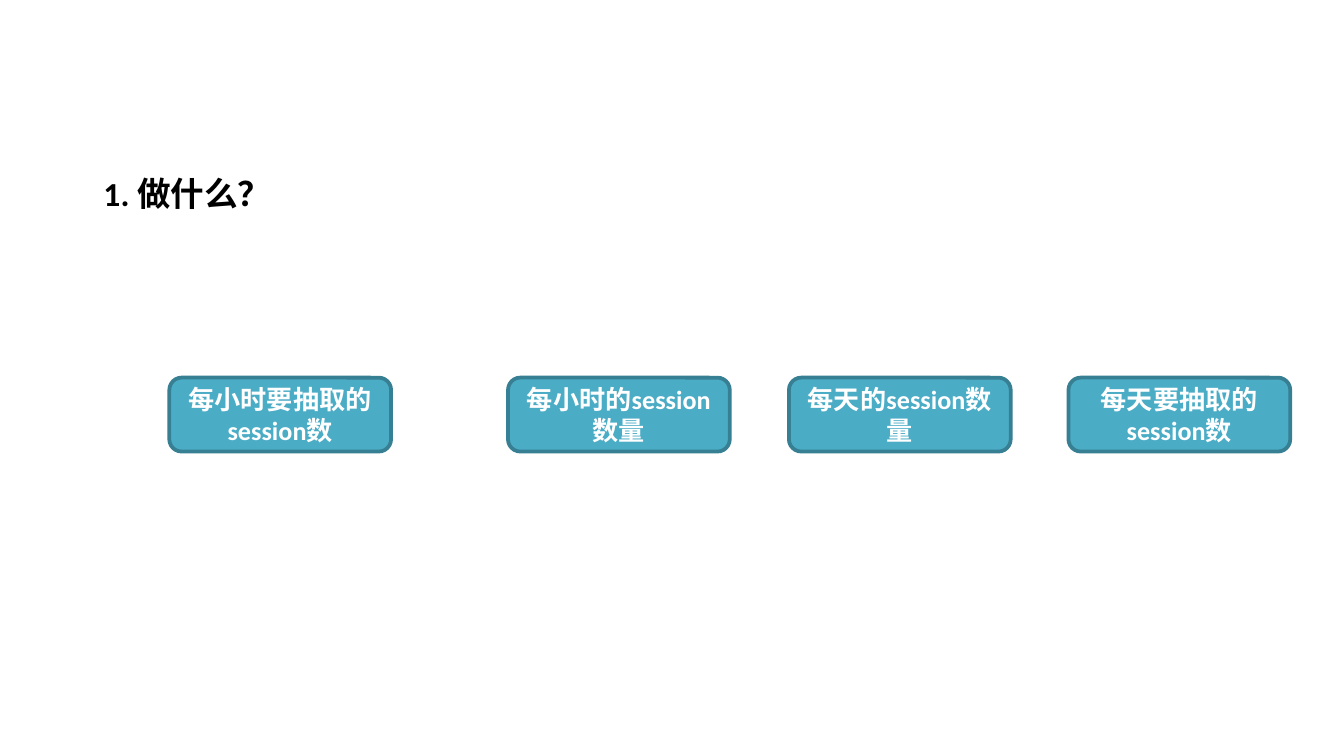
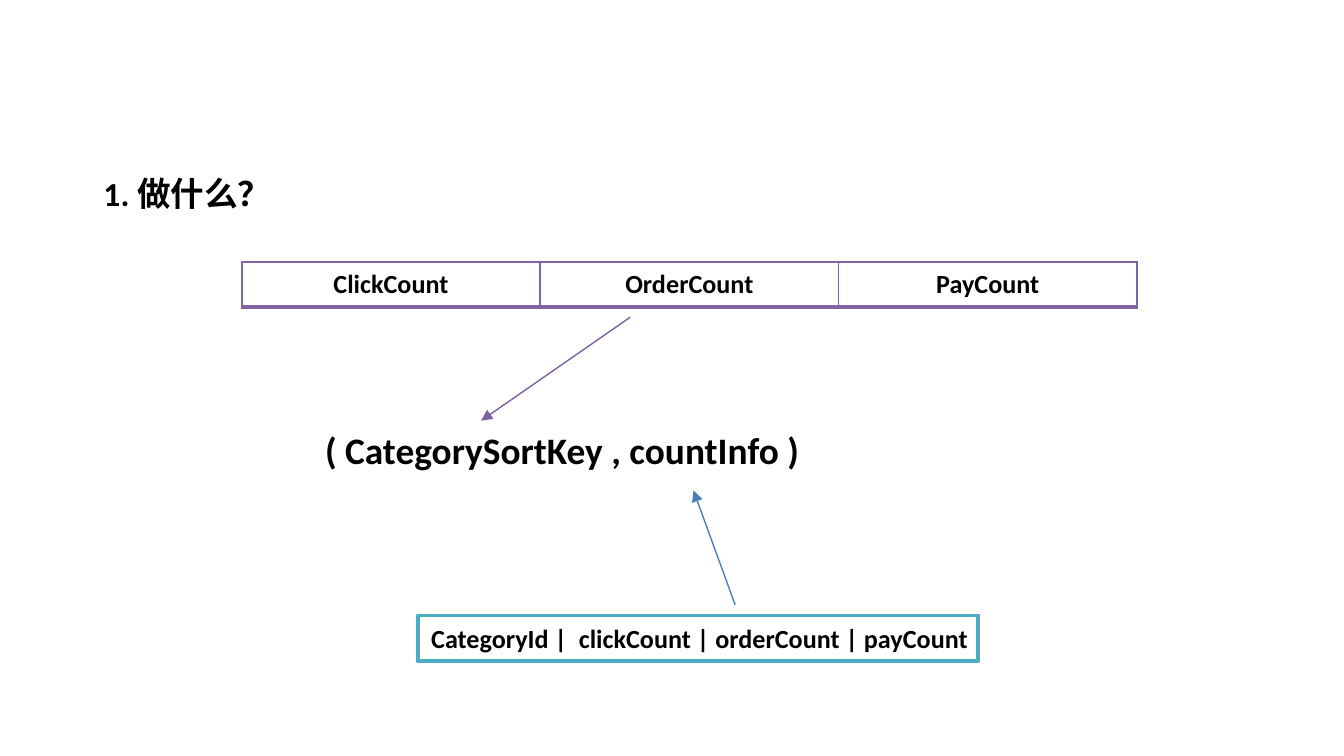
from lxml import etree
from pptx import Presentation
from pptx.dml.color import RGBColor
from pptx.enum.shapes import MSO_CONNECTOR, MSO_SHAPE
from pptx.enum.text import MSO_ANCHOR, MSO_AUTO_SIZE, PP_ALIGN
from pptx.oxml.ns import qn
from pptx.util import Inches, Pt

ROUNDED, RECTANGLE = MSO_SHAPE.ROUNDED_RECTANGLE, MSO_SHAPE.RECTANGLE
STRAIGHT = MSO_CONNECTOR.STRAIGHT
LEFT, CENTER = PP_ALIGN.LEFT, PP_ALIGN.CENTER
TOP, MIDDLE = MSO_ANCHOR.TOP, MSO_ANCHOR.MIDDLE
FIT_SHAPE = MSO_AUTO_SIZE.SHAPE_TO_FIT_TEXT
TITLE_ONLY = 5

FONT = "Calibri"
COLORS = {
    "text": "000000",
    "white": "FFFFFF",
    "teal": "4BACC6",
    "teal_dark": "377F92",
    "border": "8064A2",
    "purple_arrow": "7D60A0",
    "blue_arrow": "4B7EBC",
}

HEADING = "1. 做什么？"
SESSION_BOXES = [
    (1.26, "每小时要抽取的session数"),
    (3.78, "每小时的session数量"),
    (5.87, "每天的session数量"),
    (7.95, "每天要抽取的session数"),
]
SORT_KEYS = ["ClickCount", "OrderCount", "PayCount"]
KEY_BORDERS = [("a:lnL", 1), ("a:lnR", 1), ("a:lnT", 1), ("a:lnB", 2)]
PAIR = "( CategorySortKey , countInfo )"
COUNT_INFO = "CategoryId |  clickCount | orderCount | payCount"
ARROWS = [
    ((5.47, 4.5), (5.16, 3.65), "blue_arrow"),
    ((4.69, 2.36), (3.58, 3.13), "purple_arrow"),
]


def rgb(name):
    return RGBColor.from_string(COLORS[name])


def write(frame, text, size, color="text", align=LEFT):
    para = frame.paragraphs[0]
    para.alignment = align
    span = para.add_run()
    span.text = text
    font = span.font
    font.name, font.size, font.bold = FONT, Pt(size), True
    font.color.rgb = rgb(color)


def add_page(deck):
    page = deck.slides.add_slide(deck.slide_layouts[TITLE_ONLY])
    title = page.shapes.title
    title.left, title.top = Inches(0.67), Inches(1.24)
    title.width, title.height = Inches(1.42), Inches(0.4)
    frame = title.text_frame
    frame.word_wrap, frame.auto_size = False, FIT_SHAPE
    frame.vertical_anchor = TOP
    write(frame, HEADING, 18)
    return page


def add_box(page, kind, left, top, width, height, fill, line):
    box = page.shapes.add_shape(
        kind, Inches(left), Inches(top), Inches(width), Inches(height))
    box.shadow.inherit = False
    box.fill.solid()
    box.fill.fore_color.rgb = rgb(fill)
    box.line.color.rgb = rgb(line)
    box.line.width = Pt(2)
    return box


def add_label(page, text, left, top, width, height, size):
    label = page.shapes.add_textbox(
        Inches(left), Inches(top), Inches(width), Inches(height))
    frame = label.text_frame
    frame.word_wrap, frame.auto_size = True, FIT_SHAPE
    write(frame, text, size)


def add_arrow(page, start, end, color):
    arrow = page.shapes.add_connector(
        STRAIGHT, *(Inches(value) for value in start + end))
    arrow.line.color.rgb = rgb(color)
    arrow.line.width = Pt(0.75)
    line = arrow.line._get_or_add_ln()
    etree.SubElement(line, qn("a:tailEnd"), type="triangle")
    etree.SubElement(arrow._element.spPr, qn("a:effectLst"))


def set_borders(cell):
    properties = cell._tc.get_or_add_tcPr()
    for index, (tag, width) in enumerate(KEY_BORDERS):
        border = etree.Element(qn(tag), w=str(Pt(width)))
        fill = etree.SubElement(border, qn("a:solidFill"))
        etree.SubElement(fill, qn("a:srgbClr"), val=COLORS["border"])
        properties.insert(index, border)


def add_key_table(page):
    table = page.shapes.add_table(
        1, len(SORT_KEYS), Inches(1.8), Inches(1.95), Inches(6.66), Inches(0.33)).table
    table.first_row = table.horz_banding = False
    for cell, key in zip(table.iter_cells(), SORT_KEYS):
        cell.fill.background()
        set_borders(cell)
        write(cell.text_frame, key, 14, align=CENTER)


def build_session_page(deck):
    page = add_page(deck)
    for left, text in SESSION_BOXES:
        box = add_box(page, ROUNDED, left, 2.81, 1.65, 0.55, "teal", "teal_dark")
        frame = box.text_frame
        frame.word_wrap, frame.vertical_anchor = True, MIDDLE
        write(frame, text, 14, "white", CENTER)


def build_sort_key_page(deck):
    page = add_page(deck)
    add_box(page, RECTANGLE, 3.11, 4.58, 4.17, 0.34, "white", "teal")
    add_key_table(page)
    add_label(page, PAIR, 2.32, 3.13, 4.09, 0.44, 20)
    add_label(page, COUNT_INFO, 3.11, 4.58, 5.35, 0.34, 14)
    for start, end, color in ARROWS:
        add_arrow(page, start, end, color)


def main():
    deck = Presentation()
    deck.slide_width = Inches(10)
    deck.slide_height = deck.slide_width * 9 // 16
    build_session_page(deck)
    build_sort_key_page(deck)
    deck.save("out.pptx")


if __name__ == "__main__":
    main()
